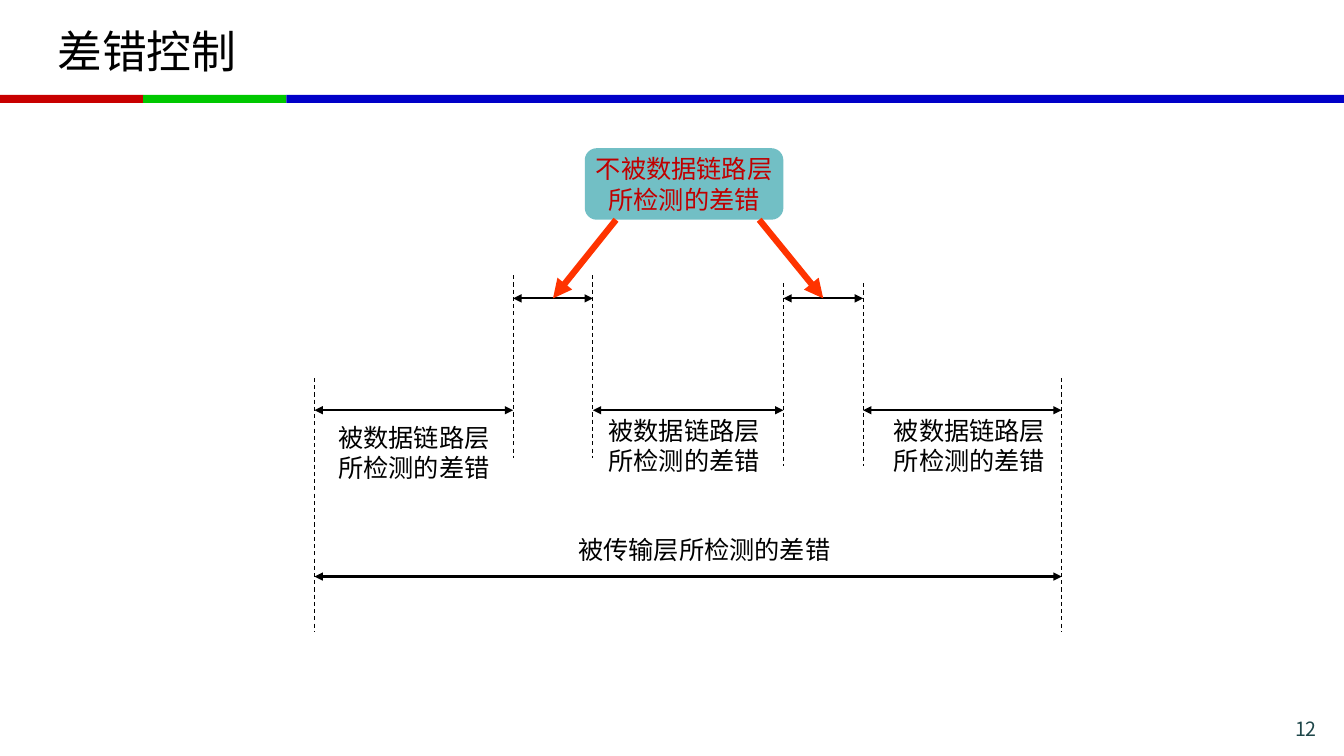
import pptx
import pptx.util
import pptx.dml.color
import pptx.enum.dml
import pptx.enum.shapes
import pptx.enum.text
import pptx.oxml

Inches = pptx.util.Inches
ALIGN = pptx.enum.text.PP_ALIGN
ANCHOR = pptx.enum.text.MSO_ANCHOR
SHAPE = pptx.enum.shapes.MSO_SHAPE
FONT = "Noto Sans CJK SC"
NAMESPACE = 'xmlns:a="http://schemas.openxmlformats.org/drawingml/2006/main"'

DETECTED = ["被数据链路层", "所检测的差错"]
UNDETECTED = ["不被数据链路层", "所检测的差错"]


def colour(value):
    return pptx.dml.color.RGBColor.from_string(value)


def add_element(parent, tag, attributes=""):
    parent.append(pptx.oxml.parse_xml(f"<a:{tag} {NAMESPACE} {attributes}/>"))


def write_text(shape, lines, size, hue, align, anchor=ANCHOR.TOP, wrap=True, tight=True):
    frame = shape.text_frame
    settings = {"word_wrap": wrap, "vertical_anchor": anchor}
    for name, value in settings.items():
        setattr(frame, name, value)
    for index, line in enumerate(lines):
        para = frame.add_paragraph() if index else frame.paragraphs[0]
        para.alignment = align
        if tight:
            para.line_spacing = pptx.util.Pt(size * 1.2)
        span = para.add_run()
        span.text = line
        for name, value in {"name": FONT, "size": pptx.util.Pt(size)}.items():
            setattr(span.font, name, value)
        span.font.color.rgb = colour(hue)
        # East Asian characters need the typeface named separately
        add_element(span.font._element, "ea", f'typeface="{FONT}"')


def add_text(page, box, lines, size, hue, align, **layout):
    shape = page.shapes.add_textbox(*map(Inches, box))
    write_text(shape, lines, size, hue, align, **layout)


def add_block(page, kind, box, fill):
    shape = page.shapes.add_shape(kind, *map(Inches, box))
    shape.shadow.inherit = False
    shape.fill.solid()
    shape.fill.fore_color.rgb = colour(fill)
    shape.line.fill.background()
    return shape


def add_line(page, start, end, width, hue="000000", dashed=False, ends=()):
    line = page.shapes.add_connector(
        pptx.enum.shapes.MSO_CONNECTOR.STRAIGHT, *map(Inches, (*start, *end)))
    line.line.width = pptx.util.Pt(width)
    line.line.color.rgb = colour(hue)
    if dashed:
        line.line.dash_style = pptx.enum.dml.MSO_LINE.DASH
    for end_tag in ends:
        add_element(line.line._get_or_add_ln(), end_tag, 'type="triangle"')
    add_element(line._element.spPr, "effectLst")


def add_header(page, box):
    left, top, width, height = box
    # Three-colour rule below the title
    rule_top, rule_height, accent = top + height - 0.08, 0.08, 1.42
    bars = [(0, accent, "C80000"), (accent, accent, "00C800"),
            (2 * accent, width - 2 * accent, "0000C8")]
    for offset, bar_width, fill in bars:
        add_block(page, SHAPE.RECTANGLE,
                  (left + offset, rule_top, bar_width, rule_height), fill)
    add_text(page, (left + 0.47, top + 0.08, 12.39, 0.84), ["差错控制"], 32,
             "000000", ALIGN.LEFT, anchor=ANCHOR.MIDDLE, tight=False)


def add_error_diagram(page, box):
    left, top, width, height = box
    right, bottom = left + width, top + height
    gap_width = 0.79
    first_gap, second_gap = left + 1.97, left + 4.65
    gap_y, detected_y, transport_y = top + 1.49, top + 2.6, top + 4.25
    both_ends = ("headEnd", "tailEnd")

    # Dashed boundaries: outer edges, then both sides of each gap
    boundaries = [(edge, top + 2.28, bottom) for edge in (left, right)]
    for gap, start in ((first_gap, top + 1.26), (second_gap, top + 1.34)):
        boundaries += [(edge, start, start + 1.81) for edge in (gap, gap + gap_width)]
    for x, start, end in boundaries:
        add_line(page, (x, start), (x, end), 0.75, dashed=True)

    # Double-headed spans
    spans = [(left, first_gap, detected_y),
             (first_gap + gap_width, second_gap, detected_y),
             (second_gap + gap_width, right, detected_y),
             (left, right, transport_y)]
    spans += [(gap, gap + gap_width, gap_y) for gap in (first_gap, second_gap)]
    for start, end, y in spans:
        add_line(page, (start, y), (end, y), 1.5, ends=both_ends)

    # Callout
    callout_left, callout_width, callout_height = left + 2.68, 1.97, 0.71
    callout = add_block(page, SHAPE.ROUNDED_RECTANGLE,
                        (callout_left, top, callout_width, callout_height), "72BFC5")
    callout.adjustments[0] = 0.167
    write_text(callout, UNDETECTED, 18, "C00000", ALIGN.CENTER,
               anchor=ANCHOR.MIDDLE, wrap=False)

    # Span labels
    for offset, drop in ((0.08, 0.07), (2.76, 0), (5.59, 0)):
        add_text(page, (left + offset, detected_y + drop, 1.81, 0.7), DETECTED,
                 18, "000000", ALIGN.CENTER)
    add_text(page, (left + 2.13, transport_y - 0.47, 3.47, 0.4),
             ["被传输层所检测的差错"], 18, "000000", ALIGN.CENTER)

    # Red arrows from the callout to the middle of each gap
    starts = (callout_left + 0.31, callout_left + callout_width - 0.24)
    for start, gap in zip(starts, (first_gap, second_gap)):
        add_line(page, (start, top + callout_height), (gap + gap_width / 2, gap_y),
                 4.5, "FF3300", ends=("tailEnd",))


def add_page_number(page, box):
    add_text(page, box, ["12"], 14, "1E4649", ALIGN.RIGHT)


def main():
    deck = pptx.Presentation()
    deck.slide_width, deck.slide_height = Inches(13.33), Inches(7.5)
    page = deck.slides.add_slide(deck.slide_layouts[6])
    add_header(page, (0, 0, 13.33, 1.02))
    add_error_diagram(page, (3.12, 1.47, 7.41, 4.8))
    add_page_number(page, (11.86, 7.06, 1.3, 0.28))
    deck.save("out.pptx")


if __name__ == "__main__":
    main()
